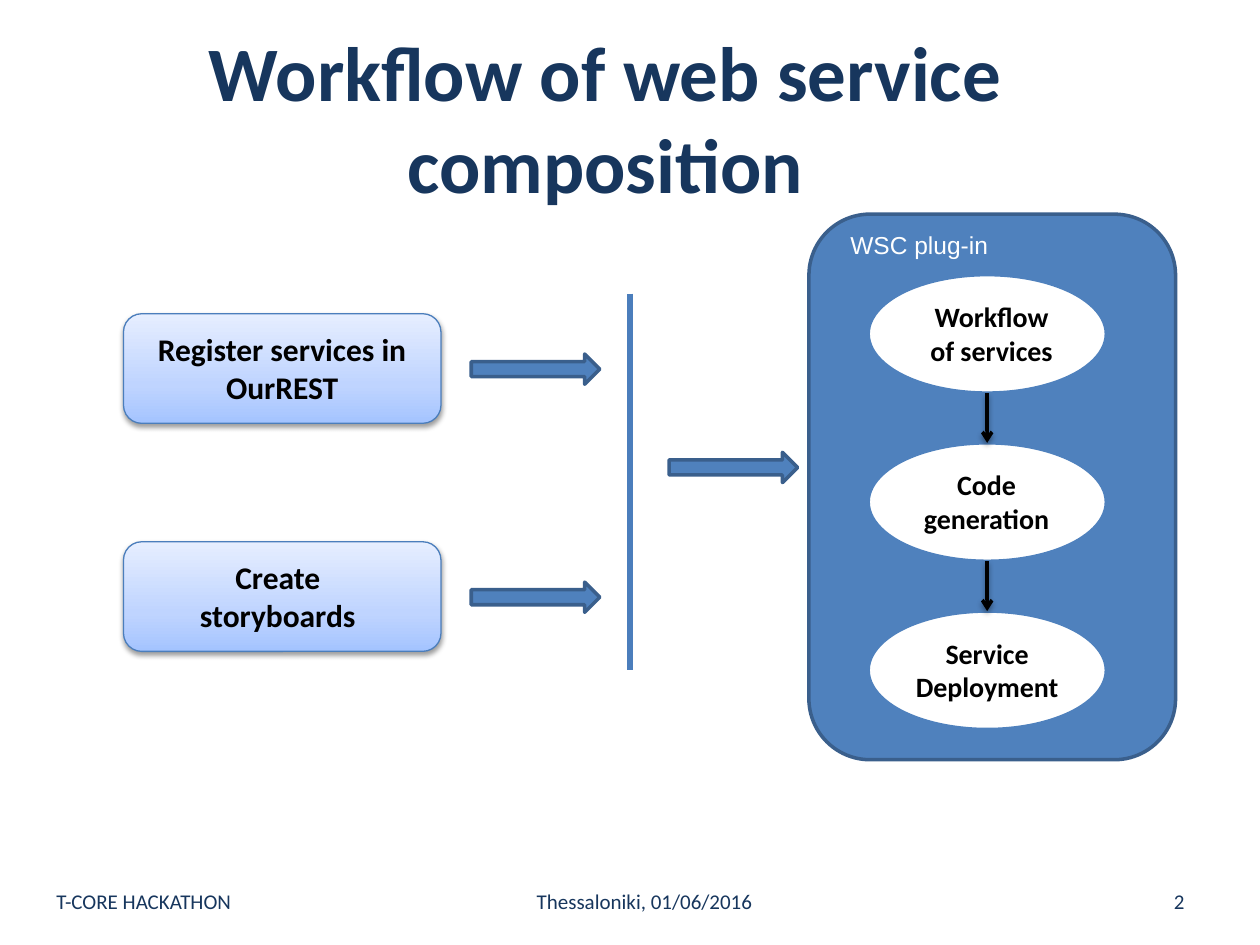
import copy
from dataclasses import dataclass

import pptx
import pptx.dml.color
import pptx.enum.shapes
import pptx.enum.text
import pptx.oxml
import pptx.oxml.ns
import pptx.util
from lxml import etree

Inches = pptx.util.Inches
RGBColor = pptx.dml.color.RGBColor
Shape = pptx.enum.shapes.MSO_SHAPE
Align = pptx.enum.text.PP_ALIGN
Anchor = pptx.enum.text.MSO_ANCHOR
qn = pptx.oxml.ns.qn

NAVY = RGBColor(0x17, 0x36, 0x5D)
BLUE = RGBColor(0x4F, 0x81, 0xBD)
DARK_BLUE = RGBColor(0x3A, 0x5F, 0x8C)
EDGE_BLUE = RGBColor(0x4B, 0x7E, 0xBC)
BLACK = RGBColor(0, 0, 0)
WHITE = RGBColor(0xFF, 0xFF, 0xFF)
INPUT_GRADIENT = (
    (0, RGBColor(0xA4, 0xC4, 0xFF)),
    (0.35, RGBColor(0xBF, 0xD4, 0xFF)),
    (1, RGBColor(0xE6, 0xEE, 0xFF)),
)


@dataclass(frozen=True)
class Box:
    """Left, top, width and height in inches."""
    left: float
    top: float
    width: float
    height: float

    def lengths(self) -> tuple:
        """Return the four values as lengths."""
        return tuple(Inches(v) for v in (self.left, self.top, self.width, self.height))


@dataclass(frozen=True)
class Label:
    """A text in its frame."""
    text: str
    box: Box
    size: int
    color: RGBColor = BLACK
    bold: bool = False
    align: Align = Align.CENTER
    font: str = "Calibri"
    anchor: Anchor = Anchor.TOP


def add_label(slide, label: Label) -> None:
    """Draw a wrapped text box with one run."""
    frame = slide.shapes.add_textbox(*label.box.lengths()).text_frame
    frame.word_wrap = True
    frame.vertical_anchor = label.anchor
    paragraph = frame.paragraphs[0]
    paragraph.alignment = label.align
    run = paragraph.add_run()
    run.text = label.text
    run.font.name = label.font
    run.font.size = pptx.util.Pt(label.size)
    run.font.bold = label.bold
    run.font.color.rgb = label.color


def add_block(slide, kind: Shape, box: Box, fill: RGBColor = BLUE,
              edge: RGBColor = DARK_BLUE, weight: float = 2):
    """Draw a filled, outlined shape without a shadow."""
    block = slide.shapes.add_shape(kind, *box.lengths())
    block.shadow.inherit = False
    block.fill.solid()
    block.fill.fore_color.rgb = fill
    block.line.color.rgb = edge
    block.line.width = pptx.util.Pt(weight)
    return block


def add_soft_shadow(effects) -> None:
    """Put a soft downward shadow into an effect list."""
    shadow = etree.SubElement(effects, qn("a:outerShdw"), blurRad="40000",
                              dist="20000", dir="5400000", rotWithShape="0")
    color = etree.SubElement(shadow, qn("a:srgbClr"), val="000000")
    etree.SubElement(color, qn("a:alpha"), val="38000")


def add_input(slide, box: Box) -> None:
    """Draw a rounded input box with gradient and shadow."""
    block = add_block(slide, Shape.ROUNDED_RECTANGLE, box, edge=EDGE_BLUE, weight=0.75)
    block.fill.gradient()
    block.fill.gradient_angle = 90
    properties = block._element.spPr
    stops = properties.find(".//" + qn("a:gsLst"))
    stops.insert(1, copy.deepcopy(stops[0]))
    for stop, (position, color) in zip(block.fill.gradient_stops, INPUT_GRADIENT):
        stop.position = position
        stop.color.rgb = color
    add_soft_shadow(properties.find(qn("a:effectLst")))


def add_vertical(slide, x: float, top: float, bottom: float, color: RGBColor,
                 weight: float, arrow: bool = False) -> None:
    """Draw a vertical line, or a shadowed arrow pointing down."""
    line = slide.shapes.add_connector(
        pptx.enum.shapes.MSO_CONNECTOR.STRAIGHT,
        Inches(x), Inches(top), Inches(x), Inches(bottom))
    line.line.color.rgb = color
    line.line.width = pptx.util.Pt(weight)
    properties = line._element.spPr
    if arrow:
        etree.SubElement(properties.find(qn("a:ln")), qn("a:tailEnd"), type="arrow")
    effects = etree.SubElement(properties, qn("a:effectLst"))
    if arrow:
        add_soft_shadow(effects)


FOOTER_TOP, FOOTER_HEIGHT = 6.95, 0.4
HEADINGS = (
    Label("Workflow of web service composition", Box(0.59, 0.3, 8.43, 1.25), 44,
          NAVY, True, anchor=Anchor.MIDDLE),
    Label("WSC plug-in", Box(6.65, 1.78, 1.42, 0.34), 14, WHITE,
          align=Align.LEFT, font="Arial"),
)
FOOTERS = (
    ("T-CORE HACKATHON", 0.35, 2.33, Align.LEFT),
    ("Thessaloniki, 01/06/2016", 2.89, 4.45, Align.CENTER),
    ("2", 7.17, 2.33, Align.RIGHT),
)
INPUTS = (("Register services in OurREST", 1.06, 2.36),
          ("Create storyboards", 1.22, 1.97))
INPUT_TOP, INPUT_PITCH, INPUT_HEIGHT = 2.49, 1.81, 0.87
STEPS = (("Workflow of services", 7.28, 1.18),
         ("Code generation", 7.2, 1.26),
         ("Service Deployment", 7.05, 1.57))
STEP_LEFT, STEP_TOP, STEP_PITCH = 6.89, 2.18, 1.335
STEP_WIDTH, STEP_HEIGHT = 1.89, 0.94
ARROW_WIDTH, ARROW_HEIGHT = 1.02, 0.24


def main() -> None:
    """Build and save the slide."""
    deck = pptx.Presentation()
    deck.slide_width, deck.slide_height = Inches(10), Inches(7.5)
    slide = deck.slides.add_slide(deck.slide_layouts[6])

    add_block(slide, Shape.ROUNDED_RECTANGLE, Box(6.42, 1.7, 2.91, 4.33))
    for heading in HEADINGS:
        add_label(slide, heading)
    for text, left, width, align in FOOTERS:
        add_label(slide, Label(text, Box(left, FOOTER_TOP, width, FOOTER_HEIGHT), 12,
                               NAVY, align=align, anchor=Anchor.MIDDLE))

    for index, (text, left, width) in enumerate(INPUTS):
        top = INPUT_TOP + index * INPUT_PITCH
        add_input(slide, Box(0.98, top, 2.52, INPUT_HEIGHT))
        add_label(slide, Label(text, Box(left, top + 0.08, width, 0.71), 18, bold=True))
        add_block(slide, Shape.RIGHT_ARROW,
                  Box(3.74, top + 0.32, ARROW_WIDTH, ARROW_HEIGHT))
    add_vertical(slide, 5, 2.33, 5.32, EDGE_BLUE, 3)
    add_block(slide, Shape.RIGHT_ARROW, Box(5.31, 3.59, ARROW_WIDTH, ARROW_HEIGHT))

    for index, (text, left, width) in enumerate(STEPS):
        top = STEP_TOP + index * STEP_PITCH
        add_block(slide, Shape.OVAL, Box(STEP_LEFT, top, STEP_WIDTH, STEP_HEIGHT),
                  WHITE, BLUE)
        add_label(slide, Label(text, Box(left, top + 0.15, width, 0.64), 16, bold=True))
        if index:
            add_vertical(slide, STEP_LEFT + STEP_WIDTH / 2,
                         top - STEP_PITCH + STEP_HEIGHT, top, BLACK, 2, arrow=True)

    deck.save("out.pptx")


main()
